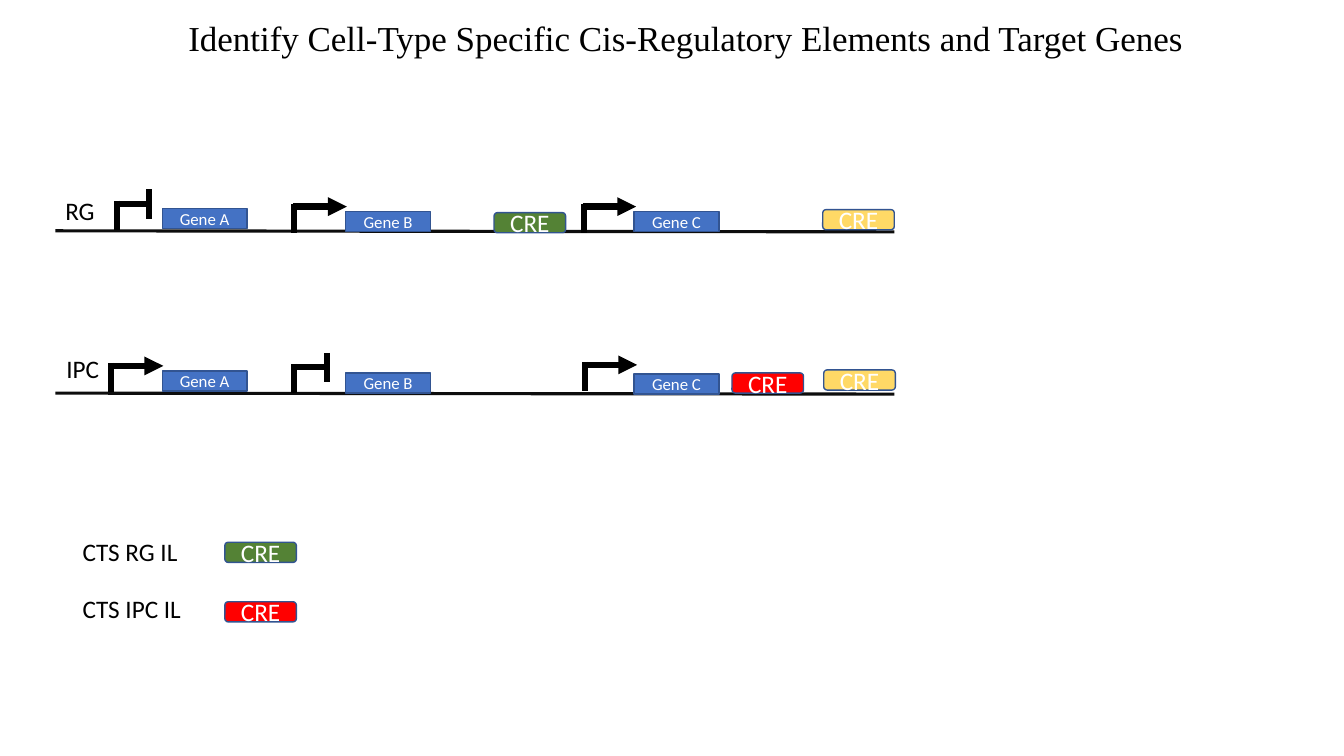
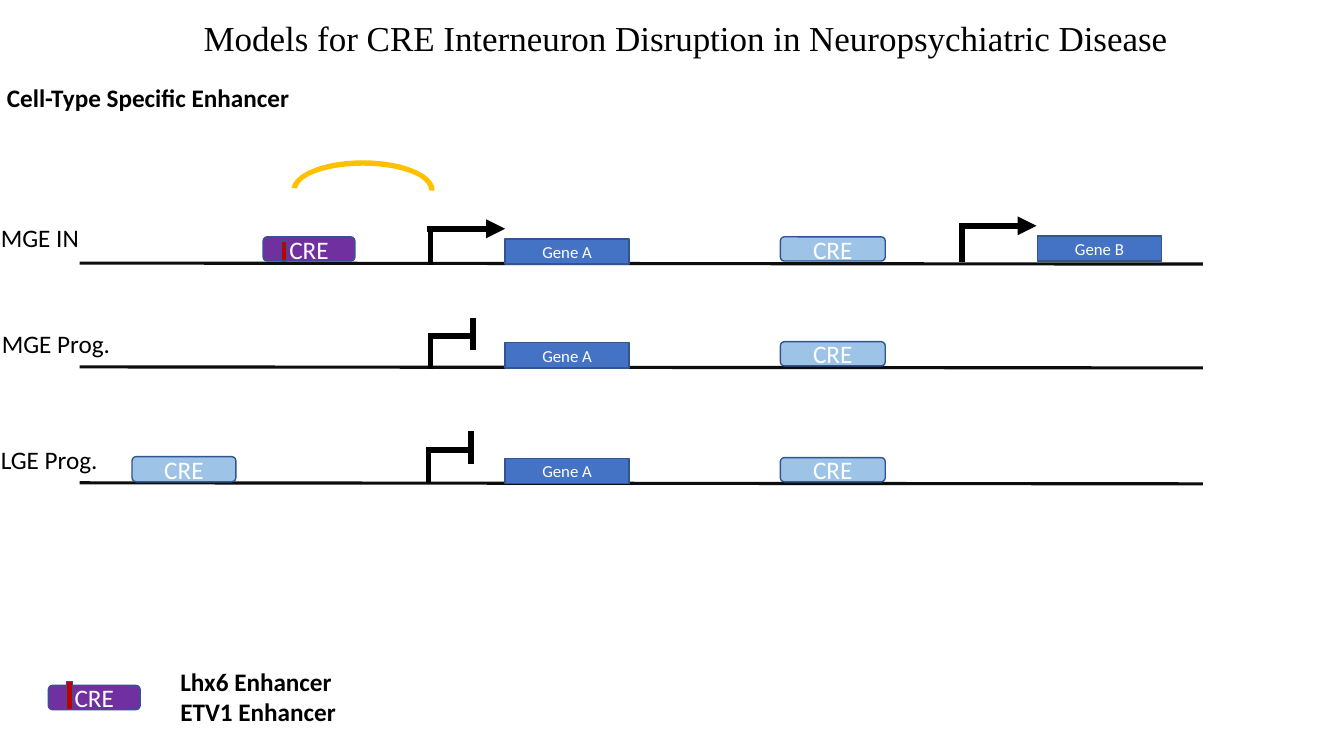
import pptx
import pptx.util
import pptx.dml.color
import pptx.enum.shapes
import pptx.enum.text
import pptx.oxml.ns
from dataclasses import dataclass
from lxml import etree
from pptx.util import Inches

KIND = pptx.enum.shapes.MSO_SHAPE
ALIGN = pptx.enum.text.PP_ALIGN
ANCHOR = pptx.enum.text.MSO_ANCHOR


@dataclass(frozen=True)
class Theme:
    ink: str = "000000"
    strand: str = "0D0D0D"
    gene: str = "4472C4"
    edge: str = "325491"
    white: str = "FFFFFF"
    green: str = "548235"
    red: str = "FF0000"
    gold: str = "FFD966"
    purple: str = "7030A0"
    sky: str = "9DC3E6"
    mark: str = "C00000"
    arc: str = "FFC000"
    serif: str = "Times New Roman"
    sans: str = "Calibri"
    head: float = 25
    body: float = 18
    small: float = 12
    thin: float = 2.25
    stem: float = 4.25
    shaft: float = 4.5


T = Theme()
RGB = pptx.dml.color.RGBColor.from_string


def put(slide, box, text="", kind=None, fill=None, edge=T.edge, size=T.body,
        font=T.sans, bold=False, align=None):
    """Add a filled shape with white text, or a plain text box if no kind is given."""
    place = [Inches(v) for v in box]
    if kind is None:
        shape = slide.shapes.add_textbox(*place)
    else:
        shape = slide.shapes.add_shape(kind, *place)
        shape.shadow.inherit = False
        shape.fill.solid()
        shape.fill.fore_color.rgb = RGB(fill)
        if edge:
            shape.line.color.rgb = RGB(edge)
            shape.line.width = pptx.util.Pt(1)
        else:
            shape.line.fill.background()
        align = ALIGN.CENTER
    frame = shape.text_frame
    if text:
        frame.text = text
        frame.word_wrap = True
        frame.vertical_anchor = ANCHOR.MIDDLE if kind else ANCHOR.TOP
        for para in frame.paragraphs:
            para.alignment = align
            para.font.size = pptx.util.Pt(size)
            para.font.name = font
            para.font.bold = bold
            para.font.color.rgb = RGB(T.white if kind else T.ink)
    return shape


def wire(slide, x1, y1, x2, y2, width=T.stem, color=T.ink, arrow=False):
    line = slide.shapes.add_connector(
        pptx.enum.shapes.MSO_CONNECTOR.STRAIGHT, *[Inches(v) for v in (x1, y1, x2, y2)])
    line.line.color.rgb = RGB(color)
    line.line.width = pptx.util.Pt(width)
    qn = pptx.oxml.ns.qn
    if arrow:
        etree.SubElement(line.line._get_or_add_ln(), qn("a:tailEnd"), type="triangle")
    etree.SubElement(line._element.spPr, qn("a:effectLst"))


# Sizes: gene (width, height); rise of a stem; on = (shaft start, shaft end, drop);
# off = (bar end, cap place, drop, cap top, cap foot), all from the stem's top.
# Rows: strand y, label (x, y, text), genes, CREs, active and silent promoters.
PAGES = [
    dict(
        title="Identify Cell-Type Specific Cis-Regulatory Elements and Target Genes",
        span=(0.55, 8.87), gene=(0.84, 0.2), rise=0.29,
        on=(-0.01, 0.52, 0.03), off=(0.32, 0.32, 0.03, -0.11, 0.18),
        rows=[
            dict(y=2.29, label=(0.55, 1.89, "RG"),
                 genes=[(1.61, 2.07, "A"), (3.43, 2.1, "B"), (6.29, 2.1, "C")],
                 cres=[(4.9, 2.11, 0.71, 0.2, T.green), (8.16, 2.08, 0.71, 0.2, T.gold)],
                 on=[(2.92, 2.02), (5.79, 2.02)], off=[(1.16, 1.99)]),
            dict(y=3.9, label=(0.56, 3.46, "IPC"),
                 genes=[(1.61, 3.68, "A"), (3.43, 3.7, "B"), (6.29, 3.71, "C")],
                 cres=[(7.26, 3.7, 0.71, 0.2, T.red), (8.17, 3.67, 0.71, 0.2, T.gold)],
                 on=[(1.1, 3.6), (5.8, 3.59)], off=[(2.92, 3.61)]),
        ],
        key=[(2.23, 5.38, 0.71, 0.2, T.green), (2.23, 5.97, 0.71, 0.2, T.red)],
        notes=[((0.72, 5.27, 1.31, 0.4), "CTS RG IL", False),
               ((0.72, 5.84, 1.31, 0.4), "CTS IPC IL", False)],
        arcs=[], marks=[],
    ),
    dict(
        title="Models for CRE Interneuron Disruption in Neuropsychiatric Disease",
        span=(0.79, 11.93), gene=(1.23, 0.25), rise=0.36,
        on=(-0.03, 0.74, 0), off=(0.4, 0.42, 0.03, -0.15, 0.17),
        rows=[
            dict(y=2.61, label=(-0.09, 2.16, "MGE IN"),
                 genes=[(5.01, 2.37, "A"), (10.29, 2.34, "B")],
                 cres=[(2.61, 2.35, 0.91, 0.24, T.purple), (7.74, 2.35, 1.04, 0.24, T.sky)],
                 on=[(4.27, 2.27), (9.54, 2.24)], off=[]),
            dict(y=3.64, label=(-0.08, 3.21, "MGE Prog."),
                 genes=[(5.01, 3.4, "A")],
                 cres=[(7.74, 3.39, 1.04, 0.24, T.sky)],
                 on=[], off=[(4.27, 3.3)]),
            dict(y=4.79, label=(-0.09, 4.36, "LGE Prog."),
                 genes=[(5.01, 4.55, "A")],
                 cres=[(1.31, 4.53, 1.03, 0.25, T.sky), (7.74, 4.54, 1.04, 0.24, T.sky)],
                 on=[], off=[(4.25, 4.43)]),
        ],
        key=[(0.48, 6.8, 0.91, 0.24, T.purple)],
        notes=[((-0.03, 0.77, 3.02, 0.4), "Cell-Type Specific Enhancer", True),
               ((1.69, 6.56, 1.83, 0.71), "Lhx6 Enhancer\nETV1 Enhancer", True)],
        arcs=[(2.89, 1.59, 1.42, 0.59)],
        marks=[(2.79, 2.39, 0.05, 0.2), (0.66, 6.76, 0.06, 0.28)],
    ),
]

deck = pptx.Presentation()
deck.slide_width = Inches(13.33)
deck.slide_height = Inches(7.5)

for page in PAGES:
    slide = deck.slides.add_slide(deck.slide_layouts[6])
    put(slide, (0.61, 0.11, 12.38, 0.52), page["title"],
        size=T.head, font=T.serif, align=ALIGN.CENTER)
    left, right = page["span"]
    rise = page["rise"]

    for row in page["rows"]:
        wire(slide, left, row["y"], right, row["y"] + 0.01, T.thin, T.strand)
        x, y, name = row["label"]
        put(slide, (x, y, 1.8, 0.4), name)

        for x, y, name in row["genes"]:
            put(slide, (x, y, *page["gene"]), f"Gene {name}", KIND.RECTANGLE,
                T.gene, size=T.small)

        for x, y in row["on"]:
            start, end, drop = page["on"]
            wire(slide, x + start, y + drop, x + end, y + drop, T.shaft, arrow=True)
            wire(slide, x, y, x, y + rise)

        for x, y in row["off"]:
            end, cap, drop, top, foot = page["off"]
            wire(slide, x, y, x, y + rise)
            wire(slide, x - 0.02, y + drop, x + end, y + drop)
            wire(slide, x + cap, y + top, x + cap, y + foot)

    cres = [cre for row in page["rows"] for cre in row["cres"]]
    for *box, fill in cres + page["key"]:
        put(slide, box, "CRE", KIND.ROUNDED_RECTANGLE, fill)
    for box in page["marks"]:
        put(slide, box, kind=KIND.RECTANGLE, fill=T.mark)
    for box in page["arcs"]:
        loop = put(slide, box, kind=KIND.BLOCK_ARC, fill=T.arc, edge=None)
        for i, value in enumerate((108.883, 0.248, 0.092)):
            loop.adjustments[i] = value
    for box, text, bold in page["notes"]:
        put(slide, box, text, bold=bold)

deck.save("out.pptx")
